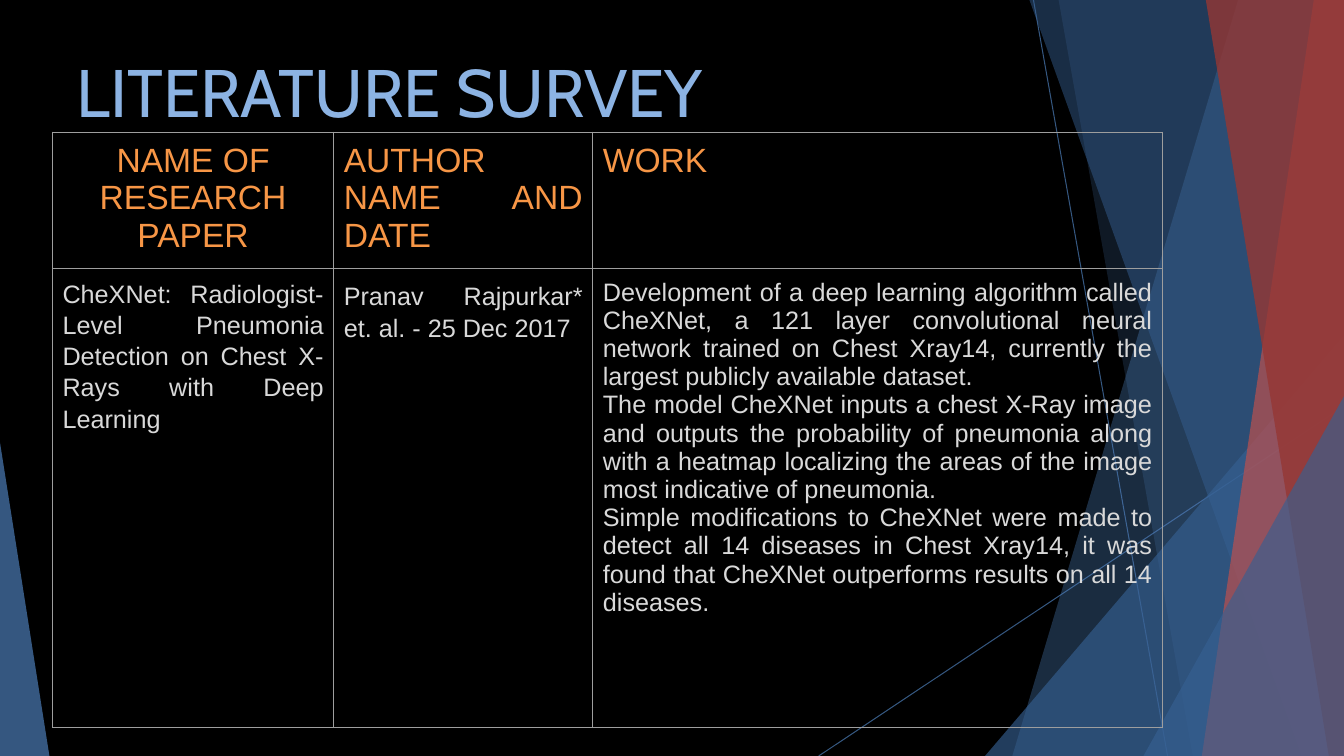
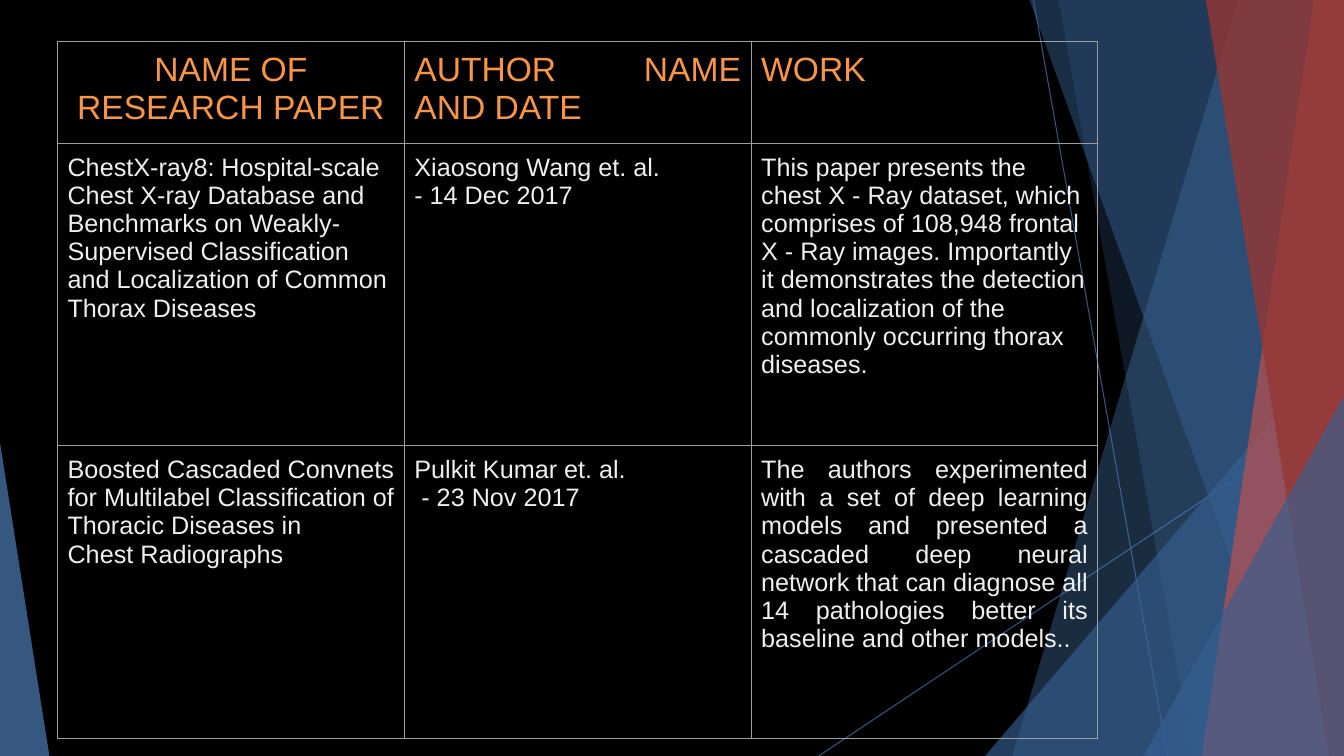
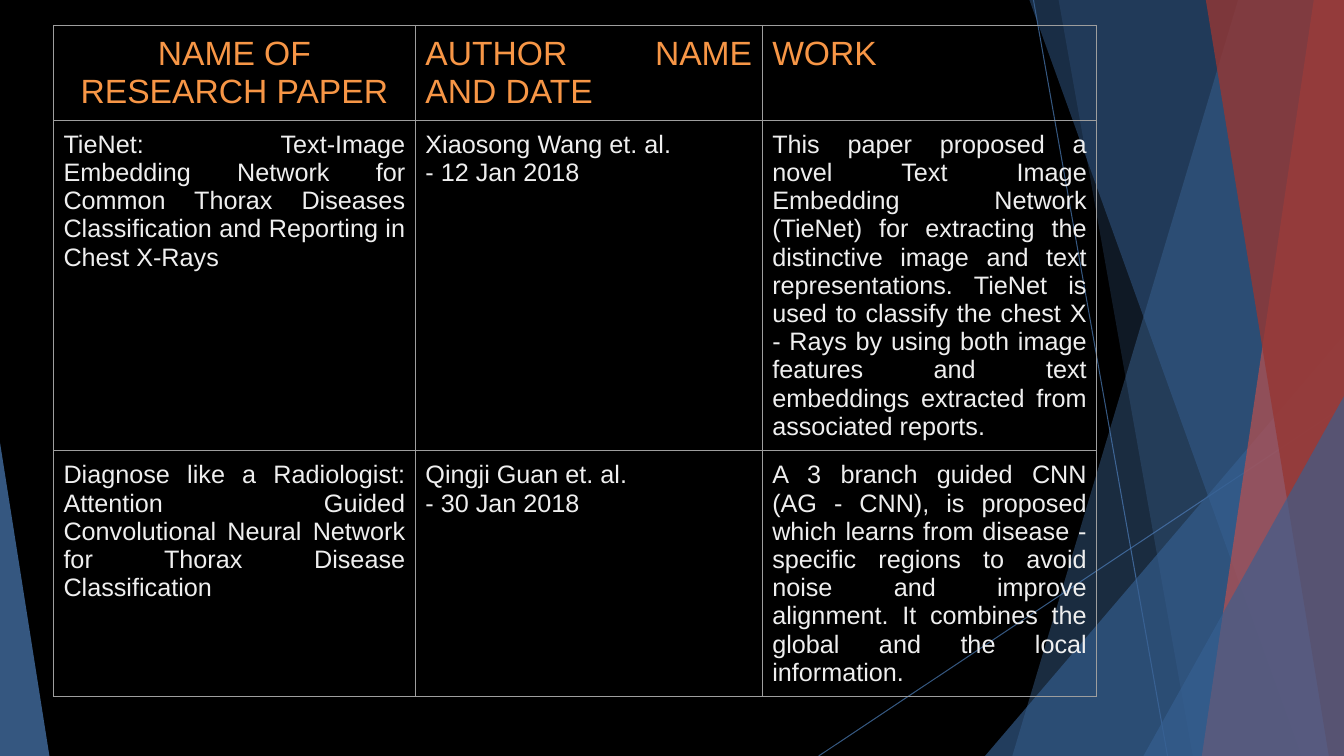
"""Build three literature survey slides with tables over a shared backdrop."""
from lxml.etree import SubElement
from pptx import Presentation
from pptx.dml.color import RGBColor
from pptx.enum.shapes import MSO_CONNECTOR, MSO_SHAPE
from pptx.enum.text import MSO_ANCHOR, PP_ALIGN
from pptx.oxml.ns import qn
from pptx.util import Inches, Pt

WIDE, HIGH = 13.33, 7.5
BLUE, NAVY, RED, RUST = "4F81BD", "366092", "C0504D", "953734"
SKY, ORANGE, GREY = "8CB3E3", "F79646", "9E9E9E"
LEFT, MID, JUST = PP_ALIGN.LEFT, PP_ALIGN.CENTER, PP_ALIGN.JUSTIFY


def hue(code):
    return RGBColor.from_string(code)


def write(frame, text, size=18, color="EFEFEF", font="Arial", align=LEFT, space=1):
    frame.word_wrap = True
    for i, line in enumerate(text.split("\n")):
        para = frame.add_paragraph() if i else frame.paragraphs[0]
        para.alignment = align
        para.line_spacing = space
        run = para.add_run()
        run.text = line
        run.font.size = Pt(size)
        run.font.name = font
        run.font.color.rgb = hue(color)


deck = Presentation()
deck.slide_width, deck.slide_height = Inches(WIDE), Inches(HIGH)
master = deck.slide_master
master.background.fill.solid()
master.background.fill.fore_color.rgb = hue("000000")

first = deck.slides.add_slide(deck.slide_layouts[5])
group = first.shapes.add_group_shape()
parts = [
    ("line", (10.25, 0, 11.58, HIGH), BLUE, 68),
    ("line", (WIDE, 4.03, 8.12, HIGH), BLUE, 68),
    ("band", (12.28, 10.04), BLUE, 34),
    ("band", (10.5, 11.83), BLUE, 20),
    ("peak", (9.77, 3.33, 3.56, 1), NAVY, 64),
    ("band", (10.21, 12.91), NAVY, 48),
    ("band", (13.03, 11.92), RED, 68),
    ("band", (11.96, 13.18), RUST, 80),
    ("peak", (11.34, 3.93, 1.99, 1), NAVY, 64),
    ("peak", (0, 4.39, 0.49, 0), BLUE, 68),
]
for kind, spots, color, alpha in parts:
    if kind == "line":
        shape = group.shapes.add_connector(
            MSO_CONNECTOR.STRAIGHT, *[Inches(n) for n in spots])
        shape.line.width = Pt(0.75)
        fill = shape.line.fill
    elif kind == "band":
        top, base = spots
        path = group.shapes.build_freeform(Inches(top), 0)
        ends = [(WIDE, 0), (WIDE, HIGH), (base, HIGH)]
        path.add_line_segments([(Inches(x), Inches(y)) for x, y in ends])
        shape = path.convert_to_shape()
        fill = shape.fill
    else:
        x, y, width, tip = spots
        shape = group.shapes.add_shape(
            MSO_SHAPE.ISOSCELES_TRIANGLE,
            Inches(x), Inches(y), Inches(width), Inches(HIGH - y))
        shape.adjustments[0] = tip
        fill = shape.fill
    fill.solid()
    fill.fore_color.rgb = hue(color)
    tint = next(shape.element.iter(qn("a:srgbClr")))
    SubElement(tint, qn("a:alpha"), val=str(alpha * 1000))
    if kind == "line":
        SubElement(shape.element.spPr, qn("a:effectLst"))
    else:
        shape.line.fill.background()
        shape.shadow.inherit = False
master.element.cSld.spTree.insert(2, group.element)

title = first.shapes.title
title.left, title.top = Inches(0.66), Inches(0.45)
title.width, title.height = Inches(9.4), Inches(0.78)
title.text_frame.vertical_anchor = MSO_ANCHOR.TOP
write(title.text_frame, "LITERATURE SURVEY", size=48, color=SKY, font="Cabin")

heads = [("NAME OF RESEARCH PAPER", MID), ("AUTHOR NAME AND DATE", JUST), ("WORK", JUST)]
pages = [
    ((0.52, 1.31), (2.79, 2.57, 5.65), (1.35, 4.56), "D9D9D9", [
        (JUST, (1.1, 1.15, 1), (
            "CheXNet: Radiologist-Level Pneumonia Detection on Chest X-Rays with Deep Learning",
            "Pranav Rajpurkar* et. al. - 25 Dec 2017",
            "Development of a deep learning algorithm called CheXNet, a 121 layer "
            "convolutional neural network trained on Chest Xray14, currently the "
            "largest publicly available dataset.\n"
            "The model CheXNet inputs a chest X-Ray image and outputs the probability "
            "of pneumonia along with a heatmap localizing the areas of the image most "
            "indicative of pneumonia.\n"
            "Simple modifications to CheXNet were made to detect all 14 diseases in "
            "Chest Xray14, it was found that CheXNet outperforms results on all 14 "
            "diseases.")),
    ]),
    ((0.57, 0.41), (3.44, 3.44, 3.44), (1.01, 3, 2.91), "EFEFEF", [
        (LEFT, (1, 1, 1), (
            "ChestX-ray8: Hospital-scale Chest X-ray Database and Benchmarks on "
            "Weakly-Supervised Classification and Localization of Common Thorax Diseases",
            "Xiaosong Wang et. al.\n- 14 Dec 2017",
            "This paper presents the chest X - Ray dataset, which comprises of 108,948 "
            "frontal X - Ray images. Importantly it demonstrates the detection and "
            "localization of the commonly occurring thorax diseases.")),
        (JUST, (1, 1, 1), (
            "Boosted Cascaded Convnets for Multilabel Classification of Thoracic "
            "Diseases in\nChest Radiographs",
            "Pulkit Kumar et. al.\n - 23 Nov 2017",
            "The authors experimented with a set of deep learning models and presented "
            "a cascaded deep neural network that can diagnose all 14 pathologies better "
            "its baseline and other models..")),
    ]),
    ((0.53, 0.25), (3.59, 3.44, 3.32), (0.75, 2.42, 2.42), "EFEFEF", [
        (JUST, (1, 1, 1), (
            "TieNet: Text-Image Embedding Network for Common Thorax Diseases "
            "Classification and Reporting in Chest X-Rays",
            "Xiaosong Wang et. al.\n- 12 Jan 2018",
            "This paper proposed a novel Text Image Embedding Network (TieNet) for "
            "extracting the distinctive image and text representations. TieNet is used "
            "to classify the chest X - Rays by using both image features and text "
            "embeddings extracted from associated reports.")),
        (JUST, (1, 1, 1), (
            "Diagnose like a Radiologist: Attention Guided Convolutional Neural Network "
            "for Thorax Disease Classification",
            "Qingji Guan et. al.\n- 30 Jan 2018",
            "A 3 branch guided CNN (AG - CNN), is proposed which learns from disease - "
            "specific regions to avoid noise and improve alignment. It combines the "
            "global and the local information.")),
    ]),
]

for page, ((x, y), cols, rows, color, body) in enumerate(pages):
    slide = deck.slides.add_slide(deck.slide_layouts[6]) if page else first
    table = slide.shapes.add_table(
        len(rows), len(cols), Inches(x), Inches(y),
        Inches(sum(cols)), Inches(sum(rows))).table
    table.first_row = table.horz_banding = False
    for col, width in zip(table.columns, cols):
        col.width = Inches(width)
    for row, height in zip(table.rows, rows):
        row.height = Inches(height)
    for cell, (text, align) in zip(table.rows[0].cells, heads):
        write(cell.text_frame, text, size=24, color=ORANGE, align=align)
    for r, (align, spaces, texts) in enumerate(body, 1):
        for cell, text, space in zip(table.rows[r].cells, texts, spaces):
            write(cell.text_frame, text, color=color, align=align, space=space)
    for cell in table.iter_cells():
        cell.margin_left = cell.margin_right = Inches(0.1)
        cell.margin_top = cell.margin_bottom = Inches(0.1)
        props = cell._tc.get_or_add_tcPr()
        for side in ("lnL", "lnR", "lnT", "lnB"):
            edge = SubElement(props, qn("a:" + side), w=str(Pt(0.75)))
            paint = SubElement(edge, qn("a:solidFill"))
            SubElement(paint, qn("a:srgbClr"), val=GREY)
        cell.fill.background()

deck.save("out.pptx")
